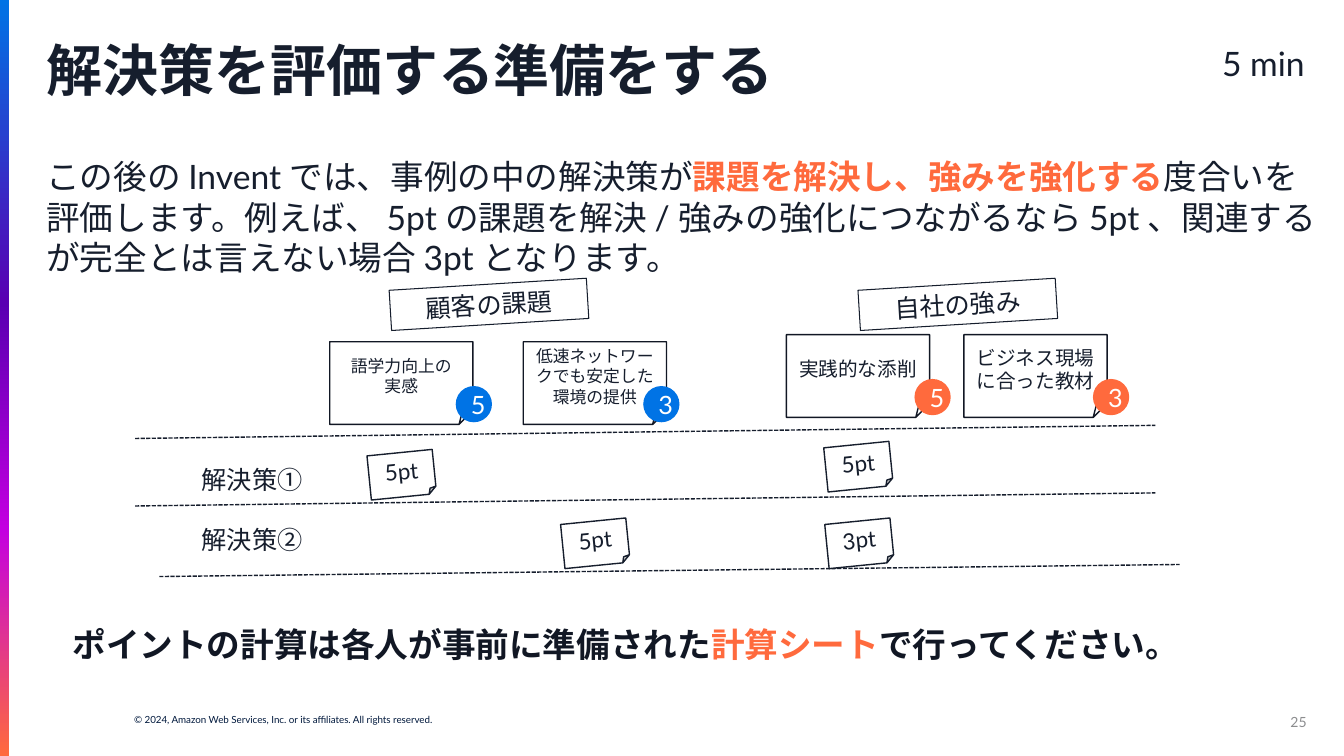
from copy import deepcopy
from dataclasses import dataclass

from lxml.etree import SubElement
from pptx import Presentation
from pptx.dml.color import RGBColor
from pptx.enum.dml import MSO_LINE
from pptx.enum.lang import MSO_LANGUAGE_ID as LANG
from pptx.enum.shapes import MSO_CONNECTOR, MSO_SHAPE as SHAPE
from pptx.enum.text import MSO_ANCHOR as ANCHOR, MSO_AUTO_SIZE as AUTO, PP_ALIGN as ALIGN
from pptx.oxml.ns import qn
from pptx.util import Pt

EMU_PER_PX = 9144  # 100 px to the inch


@dataclass(frozen=True)
class Theme:
    font: str = "Lato"
    ink: str = "161E2D"
    dark: str = "111724"
    navy: str = "00193D"
    grey: str = "8C8D8F"
    white: str = "FFFFFF"
    blue: str = "0073E5"
    orange: str = "FF6A3D"
    stripe: tuple = ((0, "0073E5"), (40, "5900B2"), (70, "C300E0"), (100, "FF6A3D"))
    title: int = 40
    body: int = 24
    label: int = 18
    note: int = 16
    card: int = 14
    small_card: int = 12
    page: int = 10
    legal: int = 7


T = Theme()
FLAT = (0, 5, 0, 5)
NONE = (0, 0, 0, 0)
INSET = (10, 5, 10, 5)


def px(n):
    return int(n * EMU_PER_PX)


def rgb(value):
    return RGBColor.from_string(value)


class Deck:
    def __init__(self, theme, width, height):
        self.t = theme
        self.prs = Presentation()
        self.prs.slide_width, self.prs.slide_height = px(width), px(height)
        self.s = self.prs.slides.add_slide(self.prs.slide_layouts[6])

    def put_text(self, sp, paras, size, color=None, bold=False, align=ALIGN.LEFT,
                 anchor=ANCHOR.TOP, inset=INSET, grow=False, para_format=None):
        """paras: a string, or a list of paragraphs, each a list of (text, run format)."""
        if isinstance(paras, str):
            paras = [[(line, {})] for line in paras.split("\n")]
        tf = sp.text_frame
        left, top, right, bottom = map(px, inset)
        frame = {"word_wrap": True, "vertical_anchor": anchor,
                 "auto_size": AUTO.SHAPE_TO_FIT_TEXT if grow else AUTO.NONE,
                 "margin_left": left, "margin_top": top,
                 "margin_right": right, "margin_bottom": bottom}
        for name, value in frame.items():
            setattr(tf, name, value)
        for i, runs in enumerate(paras):
            p = tf.add_paragraph() if i else tf.paragraphs[0]
            for name, value in {"alignment": align, **(para_format or {})}.items():
                setattr(p, name, value)
            for text, own in runs:
                r = p.add_run()
                r.text = text
                style = {"name": self.t.font, "size": Pt(size), "bold": bold,
                         "language_id": LANG.JAPANESE,
                         "color": color or self.t.ink, **own}
                r.font.color.rgb = rgb(style.pop("color"))
                for name, value in style.items():
                    setattr(r.font, name, value)

    def text(self, box, paras, size, **fmt):
        self.put_text(self.s.shapes.add_textbox(*map(px, box)), paras, size, **fmt)

    def shape(self, kind, box, fill=None, line=None, weight=1, rotation=0):
        sp = self.s.shapes.add_shape(kind, *map(px, box))
        sp.shadow.inherit = False
        sp.rotation = rotation
        if fill:
            sp.fill.solid()
            sp.fill.fore_color.rgb = rgb(fill)
        else:
            sp.fill.background()
        if line:
            sp.line.color.rgb = rgb(line)
            sp.line.width = Pt(weight)
        else:
            sp.line.fill.background()
        return sp

    def stripe(self, box, stops):
        sp = self.shape(SHAPE.RECTANGLE, box)
        sp.fill.gradient()
        sp.fill.gradient_angle = 270
        gs_list = sp._element.spPr.find(qn("a:gradFill")).find(qn("a:gsLst"))
        for gs in list(gs_list)[1:]:
            gs_list.remove(gs)
        for _ in stops[1:]:
            gs_list.append(deepcopy(gs_list[0]))
        for stop, (position, color) in zip(sp.fill.gradient_stops, stops):
            stop.position = position / 100
            stop.color.rgb = rgb(color)

    def dashed(self, x, y, dx, dy):
        c = self.s.shapes.add_connector(MSO_CONNECTOR.STRAIGHT, *map(px, (x, y, x + dx, y + dy)))
        c.line.color.rgb = rgb(self.t.ink)
        c.line.width = Pt(1)
        c.line.dash_style = MSO_LINE.SQUARE_DOT
        SubElement(c._element.spPr, qn("a:effectLst"))

    def heading(self, x, y, text):
        sp = self.shape(SHAPE.RECTANGLE, (x, y, 196, 40), self.t.white, self.t.ink, 0.75, 356.5)
        self.put_text(sp, text, self.t.label, align=ALIGN.CENTER, inset=FLAT, grow=True)

    def card(self, x, y, text, size):
        sp = self.shape(SHAPE.FOLDED_CORNER, (x, y, 142, 82), line=self.t.dark)
        self.put_text(sp, text, size, align=ALIGN.CENTER, anchor=ANCHOR.MIDDLE)

    def badge(self, x, y, text, fill):
        sp = self.shape(SHAPE.OVAL, (x, y, 36, 36), fill)
        self.put_text(sp, text, self.t.label, color=self.t.white,
                      align=ALIGN.CENTER, anchor=ANCHOR.MIDDLE)

    def note(self, x, y, text):
        sp = self.shape(SHAPE.FOLDED_CORNER, (x, y, 65, 44), self.t.white, self.t.ink,
                        rotation=354.3)
        self.put_text(sp, text, self.t.note, align=ALIGN.CENTER,
                      anchor=ANCHOR.MIDDLE, inset=(5, 5, 5, 5))


def main():
    d = Deck(T, 1333, 750)

    # Frame: stripe, copyright line, page number
    d.stripe((0, 0, 9, 750), T.stripe)
    d.text((133, 708, 534, 12),
           "© 2024, Amazon Web Services, Inc. or its affiliates. All rights reserved.",
           T.legal, color=T.navy, inset=NONE, grow=True)
    d.text((996, 696, 300, 40), "25", T.page, color=T.grey, align=ALIGN.RIGHT,
           anchor=ANCHOR.MIDDLE, inset=NONE)

    # Title, time and explanation
    d.text((46, 38, 1249, 71), "解決策を評価する準備をする", T.title, bold=True, inset=FLAT,
           para_format={"line_spacing": 0.9})
    d.text((1184, 38, 138, 50), "5 min", T.body, align=ALIGN.CENTER, inset=FLAT, grow=True)
    d.text((46, 150, 1262, 131), [[
        ("この後の Invent では、事例の中の解決策が", {}),
        ("課題を解決し、強みを強化する", {"color": T.orange, "bold": True}),
        ("度合いを評価します。例えば、 5pt の課題を解決 / 強みの強化につながるなら 5pt 、"
         "関連するが完全とは言えない場合 3pt となります。", {}),
    ]], T.body, inset=FLAT, grow=True, para_format={"space_after": Pt(12)})

    # Row lines and row names
    for x, y, dy in ((134, 435, -13), (134, 502, -13), (158, 572, -12)):
        d.dashed(x, y, 1012, dy)
    for y, name in ((456, "解決策①"), (515, "解決策②")):
        d.text((158, y, 142, 40), name, T.label, align=ALIGN.RIGHT, inset=FLAT, grow=True)

    # Column groups: heading, cards, weight badges
    groups = (
        ("顧客の課題", 387, 339, T.blue, T.small_card,
         ((327, "語学力向上の\n実感", 452, "5"),
          (519, "低速ネットワークでも安定した環境の提供", 638, "3"))),
        ("自社の強み", 852, 332, T.orange, T.card,
         ((780, "実践的な添削", 907, "5"),
          (956, "ビジネス現場に合った教材", 1084, "3"))),
    )
    for name, heading_x, card_y, color, size, cards in groups:
        d.heading(heading_x, 282, name)
        for card_x, text, badge_x, weight in cards:
            d.card(card_x, card_y, text, size)
            d.badge(badge_x, card_y + 44, weight, color)

    # Score notes
    for x, y, score in ((366, 449, "5pt"), (819, 441, "5pt"), (558, 517, "5pt"), (820, 517, "3pt")):
        d.note(x, y, score)

    # Closing instruction
    d.text((62, 614, 1238, 50), [[
        ("ポイントの計算は各人が事前に準備された", {}),
        ("計算シート", {"color": T.orange}),
        ("で行ってください。", {}),
    ]], T.body, color=T.dark, bold=True, grow=True)

    d.prs.save("out.pptx")


if __name__ == "__main__":
    main()
